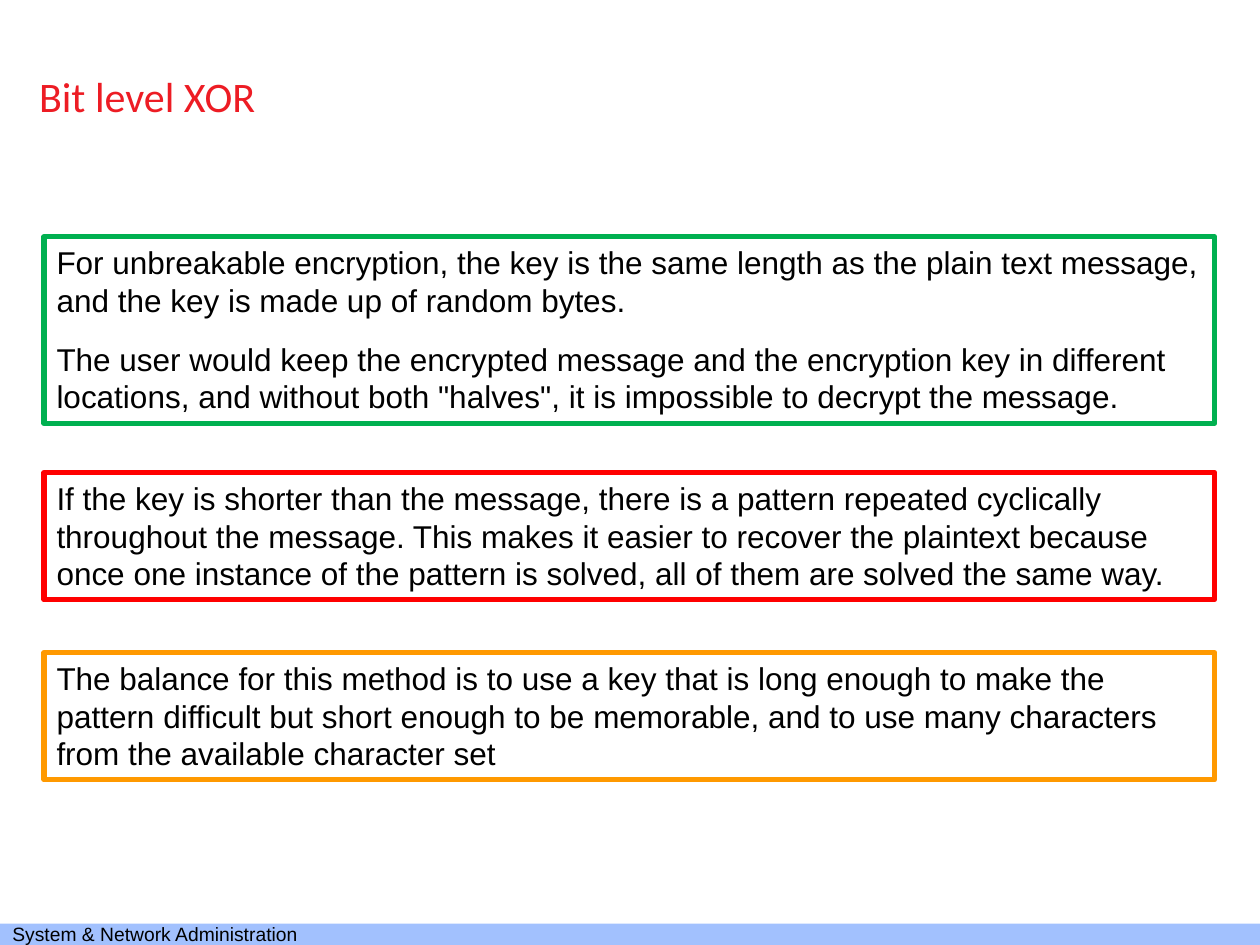
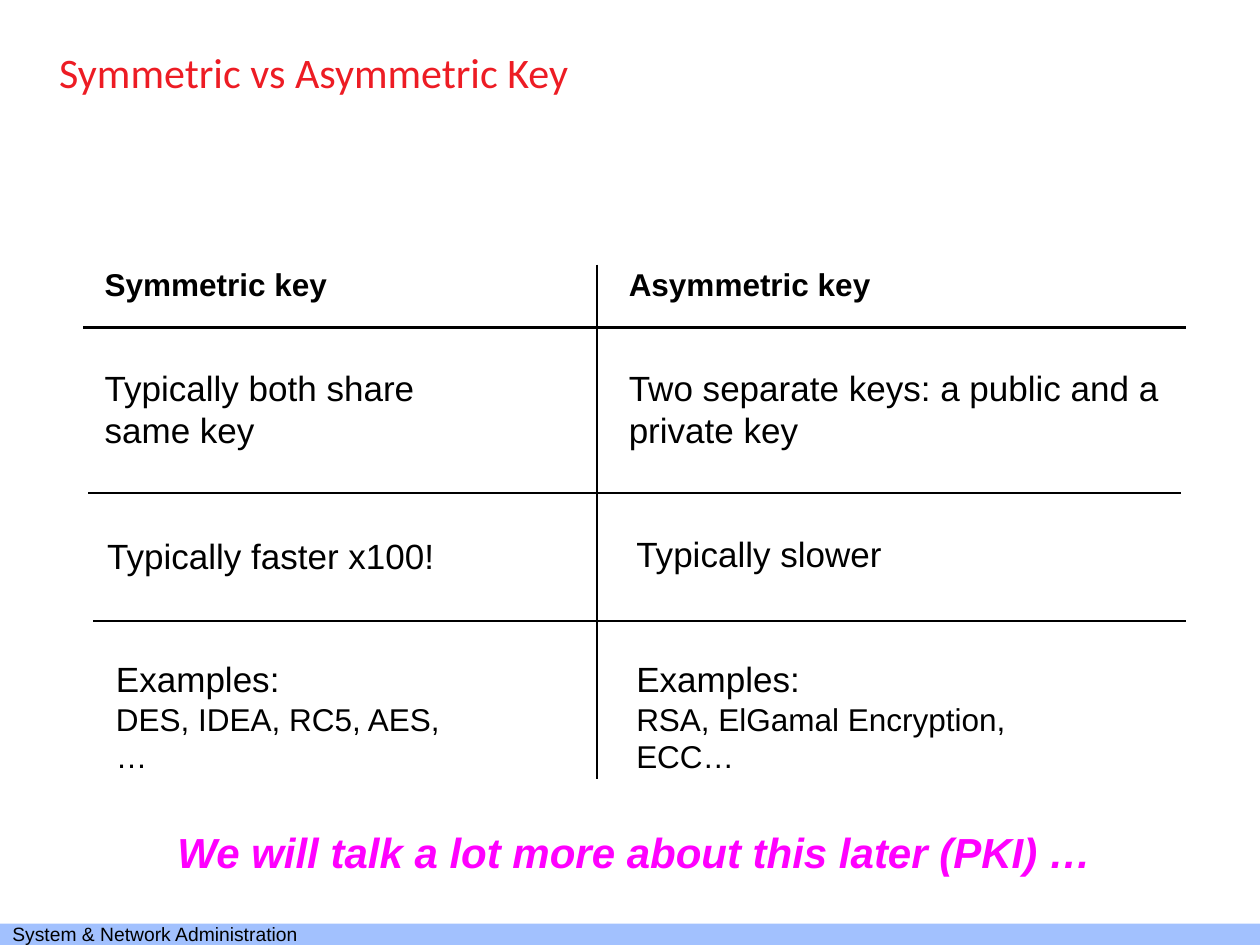
import pptx
import pptx.util
import pptx.dml.color
import pptx.enum.shapes
import pptx.enum.text
import pptx.oxml.ns
import lxml.etree

Inches, Pt = pptx.util.Inches, pptx.util.Pt
ANCHOR, ALIGN = pptx.enum.text.MSO_ANCHOR, pptx.enum.text.PP_ALIGN
COLORS = {"title": "ED1C24", "text": "000000", "band": "A2C1FE", "strong": "00B050",
          "weak": "FF0000", "balance": "FF9900", "remark": "FF00FF"}


def rgb(name):
    return pptx.dml.color.RGBColor.from_string(COLORS[name])


def add_run(p, text, size, color="text", font="Arial", bold=False, italic=False):
    r = p.add_run()
    r.text = text
    r.font.name, r.font.size = font, Pt(size)
    r.font.bold, r.font.italic = bold, italic
    r.font.color.rgb = rgb(color)


def fill_text(tf, lines, space=0, **style):
    """Write (text, size) lines, one paragraph each."""
    tf.word_wrap = True
    for i, (text, size) in enumerate(lines):
        p = tf.add_paragraph() if i else tf.paragraphs[0]
        p.alignment = ALIGN.LEFT
        p.space_before = Pt(space)
        add_run(p, text, size, **style)


def add_rect(slide, box):
    sp = slide.shapes.add_shape(pptx.enum.shapes.MSO_SHAPE.RECTANGLE, *map(Inches, box))
    sp.shadow.inherit = False
    return sp


def add_text(slide, box, lines, inset=True, **style):
    tf = slide.shapes.add_textbox(*map(Inches, box)).text_frame
    if not inset:
        tf.margin_left = tf.margin_right = tf.margin_top = tf.margin_bottom = 0
    fill_text(tf, lines, **style)


def add_line(slide, x1, y1, x2, y2, width):
    line = slide.shapes.add_connector(pptx.enum.shapes.MSO_CONNECTOR.STRAIGHT,
                                      *map(Inches, (x1, y1, x2, y2)))
    line.line.color.rgb = rgb("text")
    line.line.width = Pt(width)
    lxml.etree.SubElement(line._element.spPr, pptx.oxml.ns.qn("a:effectLst"))


def add_footer(slide, box):
    sp = add_rect(slide, box)
    sp.fill.solid()
    sp.fill.fore_color.rgb = rgb("band")
    sp.line.fill.background()
    tf = sp.text_frame
    tf.vertical_anchor = ANCHOR.MIDDLE
    tf.margin_top = tf.margin_bottom = 0
    fill_text(tf, [("System & Network Administration", 11)])


def new_slide(prs, title, box):
    """Title-only slide with the shared footer band."""
    slide = prs.slides.add_slide(prs.slide_layouts[5])
    add_footer(slide, (0, 7.33, 10, 0.17))
    sp = slide.shapes.title
    sp.left, sp.top, sp.width, sp.height = map(Inches, box)
    sp.text_frame.vertical_anchor = ANCHOR.MIDDLE
    fill_text(sp.text_frame, [(title, 24)], color="title", font="Calibri")
    return slide


def framed_note(slide, box, color, texts):
    sp = add_rect(slide, box)
    sp.fill.background()
    sp.line.color.rgb = rgb(color)
    sp.line.width = Pt(3)
    sp.text_frame.vertical_anchor = ANCHOR.TOP
    fill_text(sp.text_frame, [(t, 18) for t in texts], space=12)


def xor_slide(prs):
    slide = new_slide(prs, "Bit level XOR", (0.21, 0.2, 7.19, 1.12))
    notes = [
        (1.88, 1.48, "strong", [
            "For unbreakable encryption, the key is the same length as the plain text message, "
            "and the key is made up of random bytes.",
            "The user would keep the encrypted message and the encryption key in different "
            "locations, and without both \"halves\", it is impossible to decrypt the message."]),
        (3.75, 1.01, "weak", [
            "If the key is shorter than the message, there is a pattern repeated cyclically "
            "throughout the message. This makes it easier to recover the plaintext because once "
            "one instance of the pattern is solved, all of them are solved the same way."]),
        (5.18, 1.01, "balance", [
            "The balance for this method is to use a key that is long enough to make the pattern "
            "difficult but short enough to be memorable, and to use many characters from the "
            "available character set"]),
    ]
    for top, height, color, texts in notes:
        framed_note(slide, (0.35, top, 9.29, height), color, texts)


def comparison(slide, box):
    """Two columns of text, ruled by one upright and three level lines."""
    left, top, width, height = box
    # Each cell: x, y, width, height inside the box, then its lines
    cells = [
        (0.17, 0, 2.39, 0.3, [("Symmetric key", 18)]),
        (4.33, 0, 2.39, 0.3, [("Asymmetric key", 18)]),
        (0.17, 0.81, 2.72, 0.67, [("Typically both share", 20), ("same key", 20)]),
        (4.33, 0.81, 4.42, 0.67, [("Two separate keys: a public and a private key", 20)]),
        (0.19, 2.14, 3.17, 0.33, [("Typically faster x100!", 20)]),
        (4.39, 2.13, 2.06, 0.33, [("Typically slower", 20)]),
        (0.26, 3.12, 2.88, 0.63, [("Examples:", 20), ("DES, IDEA, RC5, AES, …", 18)]),
        (4.39, 3.12, 3.66, 0.63, [("Examples:", 20), ("RSA, ElGamal Encryption, ECC…", 18)]),
    ]
    for x, y, w, h, lines in cells:
        add_text(slide, (left + x, top + y, w, h), lines, inset=False, bold=y == 0)
    # Rules: start, end, height in the box, weight
    for x1, x2, y, weight in [(0, width, 0.5, 1.75), (0.04, width - 0.04, 1.81, 1.25),
                              (0.08, width, 2.83, 1.25)]:
        add_line(slide, left + x1, top + y, left + x2, top + y, weight)
    add_line(slide, left + 4.08, top, left + 4.08, top + height, 1.25)


def key_slide(prs):
    slide = new_slide(prs, "Symmetric vs Asymmetric Key", (0.37, 0.11, 9.25, 0.92))
    comparison(slide, (0.66, 2.1, 8.75, 4.08))
    add_text(slide, (1.31, 6.51, 7.52, 0.5),
             [("We will talk a lot more about this later (PKI) …", 24)],
             color="remark", bold=True, italic=True)


def main():
    prs = pptx.Presentation()
    prs.slide_width, prs.slide_height = Inches(10), Inches(7.5)
    xor_slide(prs)
    key_slide(prs)
    prs.save("out.pptx")


if __name__ == "__main__":
    main()
